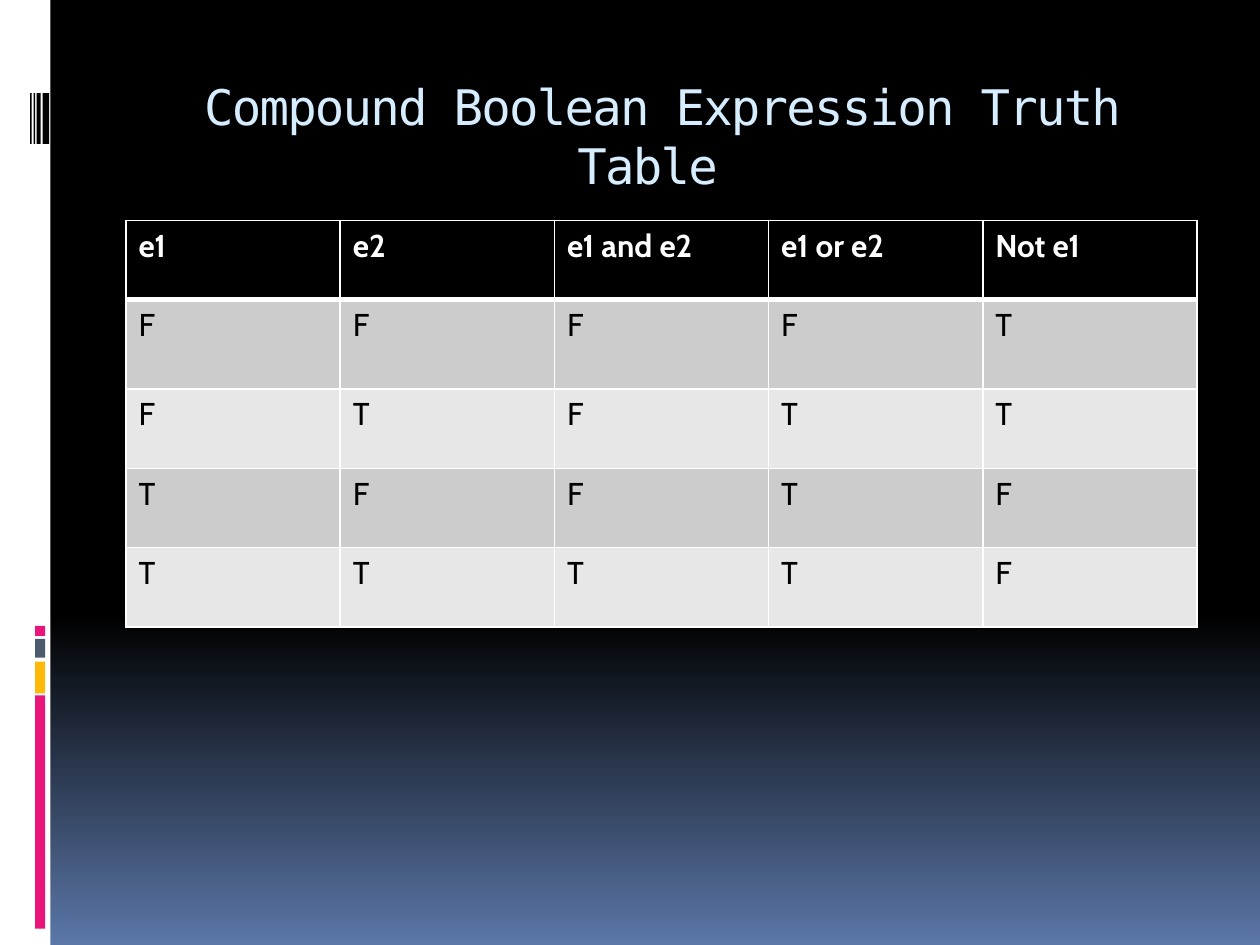
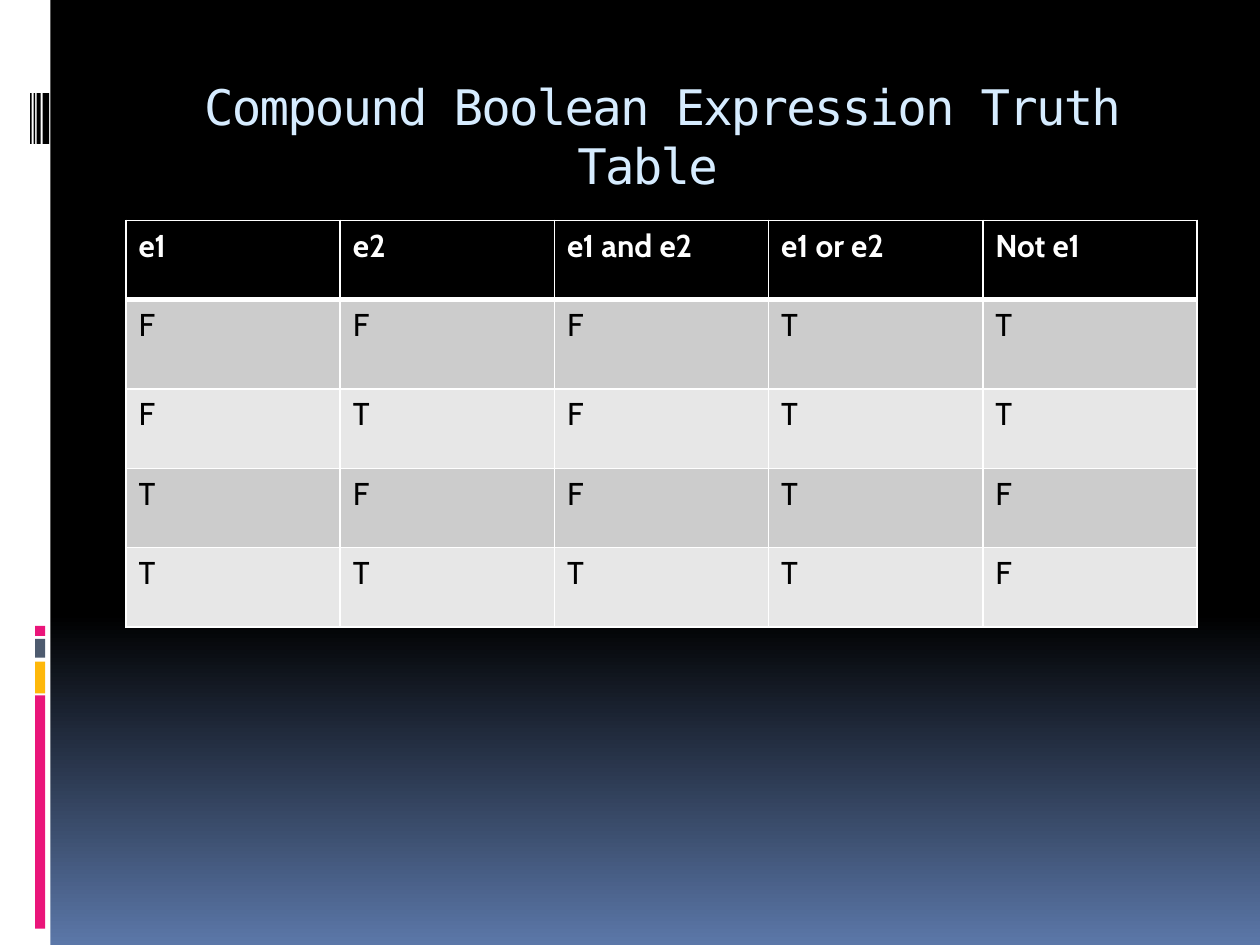
"""Build two truth table slides on a dark master with a striped side band."""
from copy import deepcopy

from lxml import etree
from pptx import Presentation
from pptx.dml.color import RGBColor
from pptx.enum.shapes import MSO_SHAPE
from pptx.enum.text import MSO_ANCHOR, MSO_AUTO_SIZE, PP_ALIGN
from pptx.oxml.ns import qn
from pptx.util import Cm, Pt

RECT = MSO_SHAPE.RECTANGLE
TOP = MSO_ANCHOR.TOP
FIXED = MSO_AUTO_SIZE.NONE
CENTER = PP_ALIGN.CENTER

BLACK, WHITE, PINK = "000000", "FFFFFF", "EA157A"
BANDS = ["E7E7E7", "CCCCCC"]
LEFT, WIDTH = 2.54, 21.59
TITLE = "Compound Boolean Expression Truth Table "
TITLE_FONT = {"name": "DejaVu Sans Mono", "size": Pt(28), "bold": False}
CELL_FONT = {"name": "Cabin", "size": Pt(18)}
HEADS = ["e1", "e2", "e1 and e2", "e1 or e2", "Not e1"]
HEIGHTS = [1.6, 1.8, 1.6, 1.6, 1.6]
BLOCKS = [(14.02, 4.7, PINK), (13.34, 0.64, "FEB80A"),
          (12.88, 0.38, "4E5B6F"), (12.62, 0.2, PINK)]
STRIPES = [(0.86, 0.13), (0.74, 0.08), (0.68, 0.03), (0.61, 0.03)]
TABLES = [["FFFFT", "FTFTT", "TFFTF", "TTTTF"],
          ["FFFTT", "FTFTT", "TFFTF", "TTTTF"]]


def rgb(code):
    """Turn a hex string into a colour."""
    return RGBColor.from_string(code)


def style(font, color, **looks):
    """Apply a colour and a set of format values to a font."""
    font.color.rgb = rgb(color)
    for key, value in looks.items():
        setattr(font, key, value)


def add_bar(slide, master, box, color):
    """Draw a plain bar and hand it over to the master."""
    bar = slide.shapes.add_shape(RECT, *map(Cm, box))
    bar.shadow.inherit = False
    bar.fill.solid()
    bar.fill.fore_color.rgb = rgb(color)
    bar.line.fill.background()
    master.shapes.element.append(bar.element)


def set_back(master):
    """Give the master a gradient that stays black down to 65 percent."""
    fill = master.background.fill
    fill.gradient()
    fill.gradient_angle = 270
    for stop, place, color in zip(fill.gradient_stops, (0, 1), (BLACK, "5B77A8")):
        stop.position = place
        stop.color.rgb = rgb(color)
    first = master.element.find(".//" + qn("a:gs"))
    hold = deepcopy(first)
    hold.set("pos", "65000")
    first.addnext(hold)


def set_band(slide, master):
    """Draw the side band with its blocks and stripes."""
    add_bar(slide, master, (0, 0, 1.02, 19.05), WHITE)
    for top, height, color in BLOCKS:
        add_bar(slide, master, (0.71, top, 0.2, height), color)
    for left, width in STRIPES:
        add_bar(slide, master, (left, 1.88, width, 1.02), BLACK)


def set_title(slide):
    """Place and format the title."""
    title = slide.shapes.title
    box = {"left": LEFT, "top": 1.42, "width": WIDTH, "height": 1.96}
    for key, value in box.items():
        setattr(title, key, Cm(value))
    frame = title.text_frame
    for key, value in {"text": TITLE, "word_wrap": True, "auto_size": FIXED,
                       "vertical_anchor": TOP}.items():
        setattr(frame, key, value)
    para = frame.paragraphs[0]
    para.alignment = CENTER
    run = para.runs[0]
    style(run.font, "D6ECFF", **TITLE_FONT)
    run.font._element.set("spc", "-100")


def add_edge(cell, side, points):
    """Draw one white border of a cell."""
    props = cell._tc.get_or_add_tcPr()
    line = etree.SubElement(props, qn("a:ln" + side), w=str(Pt(points)))
    fill = etree.SubElement(line, qn("a:solidFill"))
    etree.SubElement(fill, qn("a:srgbClr"), val=WHITE)


def fill_cell(cell, text, row):
    """Write a cell and give it the look of its row."""
    head = row == 0
    cell.text = text
    style(cell.text_frame.paragraphs[0].runs[0].font,
          WHITE if head else BLACK, bold=head, **CELL_FONT)
    for side in "LRTB":
        thick = (side, row) in (("B", 0), ("T", 1))
        add_edge(cell, side, 3 if thick else 1)
    cell.fill.solid()
    cell.fill.fore_color.rgb = rgb(BLACK if head else BANDS[row % 2])


def add_grid(slide, rows):
    """Add a truth table below the title."""
    lines = [HEADS, *rows]
    box = (LEFT, 4.44, WIDTH, sum(HEIGHTS))
    grid = slide.shapes.add_table(len(lines), len(HEADS), *map(Cm, box)).table
    for row, (line, height) in enumerate(zip(lines, HEIGHTS)):
        grid.rows[row].height = Cm(height)
        for col, text in enumerate(line):
            fill_cell(grid.cell(row, col), text, row)


def main():
    """Build and save the slides."""
    deck = Presentation()
    deck.slide_width, deck.slide_height = Cm(25.4), Cm(19.05)
    master = deck.slide_master
    set_back(master)
    for rows in TABLES:
        slide = deck.slides.add_slide(deck.slide_layouts.get_by_name("Title Only"))
        set_title(slide)
        add_grid(slide, rows)
    set_band(slide, master)
    deck.save("out.pptx")


if __name__ == "__main__":
    main()
